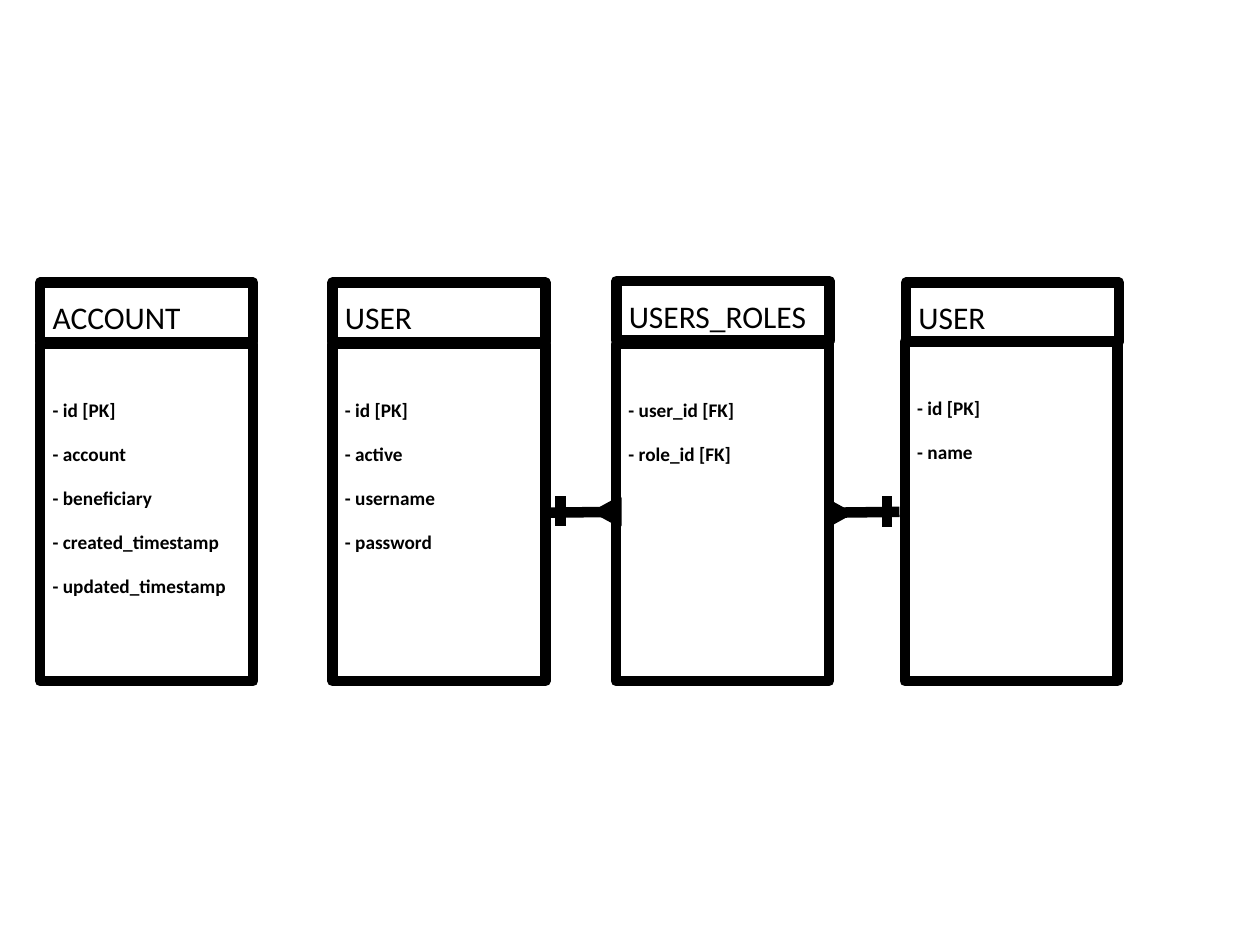
from pptx import Presentation
from pptx.util import Pt
from pptx.dml.color import RGBColor as RGB
from pptx.enum.shapes import MSO_CONNECTOR as CONN, MSO_SHAPE as SHAPE
from pptx.enum.text import MSO_ANCHOR as ANCHOR, PP_ALIGN as ALIGN
from lxml import etree

COLORS = {"ink": "000000"}
INK = RGB.from_string(COLORS["ink"])
A_NS = "http://schemas.openxmlformats.org/drawingml/2006/main"
BORDER = 6
WIDTH = 121.7

prs = Presentation()
prs.slide_width, prs.slide_height = Pt(720), Pt(540)
s = prs.slides.add_slide(prs.slide_layouts[6])


def add_box(text, x, y, h, size, bold=False, anchor=ANCHOR.TOP, inset=3.6):
    sp = s.shapes.add_shape(SHAPE.RECTANGLE, Pt(x), Pt(y), Pt(WIDTH), Pt(h))
    sp.shadow.inherit = False
    sp.fill.background()
    sp.line.color.rgb = INK
    sp.line.width = Pt(BORDER)
    tf = sp.text_frame
    tf.word_wrap = True
    tf.vertical_anchor = anchor
    tf.margin_top = Pt(inset)
    tf.text = text
    for p in tf.paragraphs:
        p.alignment = ALIGN.LEFT
        p.line_spacing = 1.15
        p.space_after = Pt(10)
        for r in p.runs:
            r.font.name = "Calibri"
            r.font.size = Pt(size)
            r.font.bold = bold
            r.font.color.rgb = INK


# Entities: name, header left and top, body left and top, fields
entities = [
    ("ACCOUNT", 23, 161.5, 23, 196.5,
     ["id [PK]", "account", "beneficiary", "created_timestamp", "updated_timestamp"]),
    ("USER", 190, 161.5, 190, 196.5, ["id [PK]", "active", "username", "password"]),
    ("USERS_ROLES", 352.2, 160.5, 352, 196.5, ["user_id [FK]", "role_id [FK]"]),
    ("USER", 517.7, 161.5, 517, 195.3, ["id [PK]", "name"]),
]
BODY_BOTTOM = 389.3
for name, head_x, head_y, body_x, body_y, fields in entities:
    add_box("\n".join(f"- {field}" for field in fields), body_x, body_y,
            BODY_BOTTOM - body_y, 11, bold=True, inset=29)
    add_box(name, head_x, head_y, 34, 18, anchor=ANCHOR.MIDDLE, inset=6)

# Relationship lines and their "one" bars
for x1, y1, x2, y2 in [
    (311, 293, 352, 292.5),
    (320.3, 283.5, 320.3, 300.5),
    (507, 283.5, 507, 301),
    (473, 293, 514, 292.5),
]:
    line = s.shapes.add_connector(CONN.STRAIGHT, Pt(x1), Pt(y1), Pt(x2), Pt(y2))
    line.line.color.rgb = INK
    line.line.width = Pt(BORDER)
    etree.SubElement(line._element.spPr, f"{{{A_NS}}}effectLst")

# "Many" ends
for x, y, w, h, rotation in [
    (339.1, 285.2, 15.8, 14.4, 270),
    (471.6, 286.4, 15.1, 13.7, 90),
]:
    sp = s.shapes.add_shape(SHAPE.ISOSCELES_TRIANGLE, Pt(x), Pt(y), Pt(w), Pt(h))
    sp.rotation = rotation
    sp.shadow.inherit = False
    sp.fill.solid()
    sp.fill.fore_color.rgb = INK
    sp.line.color.rgb = INK
    sp.line.width = Pt(2)

prs.save("out.pptx")
